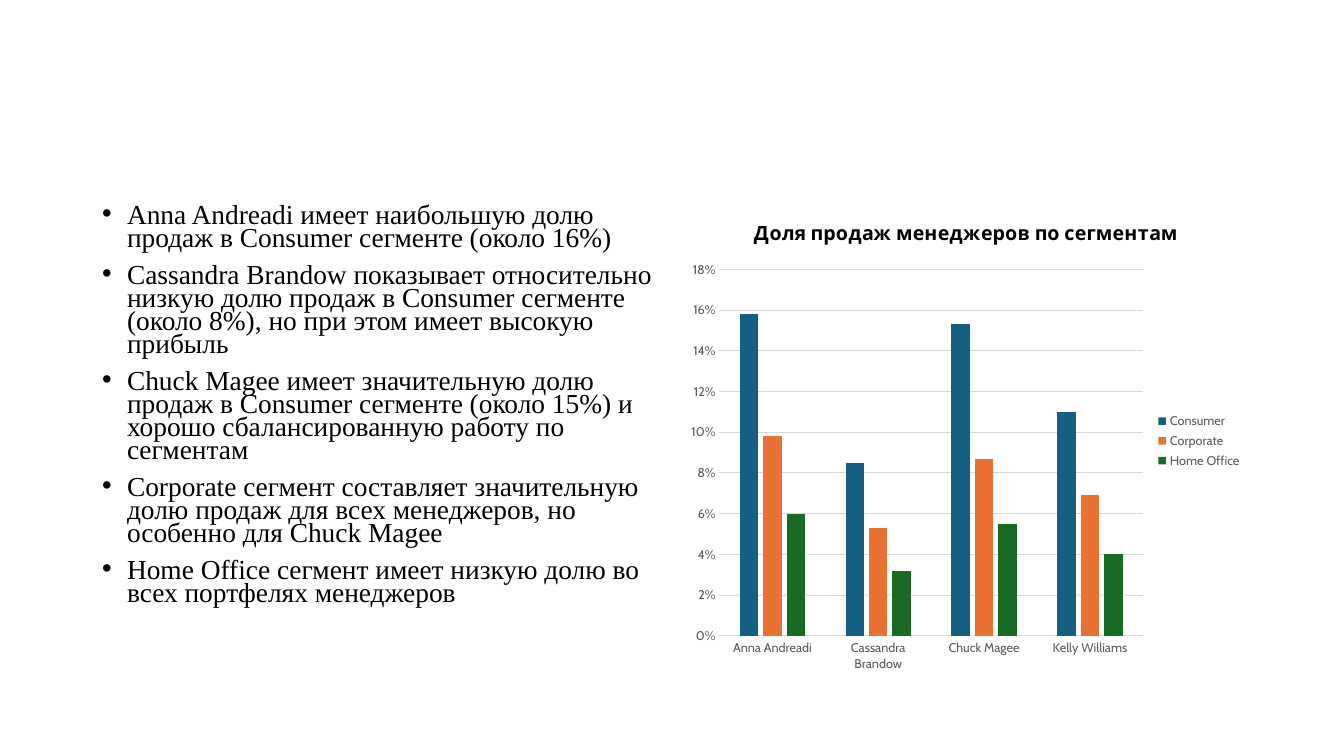
import pptx
import pptx.util
import pptx.chart.data
import pptx.dml.color
import pptx.enum.chart
import pptx.enum.dml
import pptx.enum.text
import pptx.oxml

PX = 914400 / 100.8


def px(n):
    return pptx.util.Emu(round(n * PX))


def style(font, values):
    for name, value in values.items():
        if name == "color":
            font.color.rgb = pptx.dml.color.RGBColor.from_string(value)
        else:
            setattr(font, name, value)


prs = pptx.Presentation()
prs.slide_width, prs.slide_height = px(1344), px(756)
s = prs.slides.add_slide(prs.slide_layouts[1])
title = s.shapes.title._element
title.getparent().remove(title)

# Findings list
bullets = [
    "Anna Andreadi имеет наибольшую долю продаж в Consumer сегменте (около 16%)",
    "Cassandra Brandow показывает относительно низкую долю продаж в Consumer "
    "сегменте (около 8%), но при этом имеет высокую прибыль",
    "Chuck Magee имеет значительную долю продаж в Consumer сегменте (около 15%) "
    "и хорошо сбалансированную работу по сегментам",
    "Corporate сегмент составляет значительную долю продаж для всех менеджеров, "
    "но особенно для Chuck Magee",
    "Home Office сегмент имеет низкую долю во всех портфелях менеджеров",
]
body = s.placeholders[1]
body.left, body.top, body.width, body.height = px(92), px(201), px(572), px(480)
tf = body.text_frame
tf.word_wrap = True
tf.auto_size = pptx.enum.text.MSO_AUTO_SIZE.NONE
tf.vertical_anchor = pptx.enum.text.MSO_ANCHOR.TOP
NS = 'xmlns:a="http://schemas.openxmlformats.org/drawingml/2006/main"'
for i, text in enumerate(bullets):
    p = tf.paragraphs[0] if i == 0 else tf.add_paragraph()
    pPr = p._p.get_or_add_pPr()
    pPr.set("marL", str(px(25)))
    pPr.set("indent", str(px(-25)))
    for xml in (f'<a:buFont {NS} typeface="Arial"/>', f'<a:buChar {NS} char="•"/>'):
        pPr.append(pptx.oxml.parse_xml(xml))
    p.line_spacing = 0.7
    p.space_before = pptx.util.Pt(10 if i else 0)
    r = p.add_run()
    r.text = text
    style(r.font, {"name": "Times New Roman", "size": pptx.util.Pt(19.6), "color": "000000"})

# Sales share chart
series = {
    "Consumer": ("156082", (0.158, 0.085, 0.153, 0.11)),
    "Corporate": ("E97132", (0.098, 0.053, 0.087, 0.069)),
    "Home Office": ("196B24", (0.06, 0.032, 0.055, 0.04)),
}
data = pptx.chart.data.CategoryChartData(number_format="0%")
data.categories = ["Anna Andreadi", "Cassandra Brandow", "Chuck Magee", "Kelly Williams"]
for name, (color, values) in series.items():
    data.add_series(name, values)
chart = s.shapes.add_chart(pptx.enum.chart.XL_CHART_TYPE.COLUMN_CLUSTERED,
                           px(680), px(201), px(572), px(480), data).chart
style(chart.font, {"name": "Cabin", "size": pptx.util.Pt(10), "color": "000000"})
chart.has_title = True
p = chart.chart_title.text_frame.paragraphs[0]
r = p.add_run()
r.text = "Доля продаж менеджеров по сегментам"
style(r.font, {"name": "Cabin", "size": pptx.util.Pt(14), "bold": True, "color": "000000"})
chart.chart_title.include_in_layout = False

# Columns
plot = chart.plots[0]
plot.gap_width, plot.overlap, plot.vary_by_categories = 219, -27, False
for ser, (color, values) in zip(plot.series, series.values()):
    ser.format.fill.solid()
    ser.format.fill.fore_color.rgb = pptx.dml.color.RGBColor.from_string(color)
    ser.invert_if_negative = False

# Axes and legend
small = {"name": "Cabin", "size": pptx.util.Pt(9), "bold": False, "color": "595959"}
cat, val = chart.category_axis, chart.value_axis
for axis in (cat, val):
    axis.major_tick_mark = axis.minor_tick_mark = pptx.enum.chart.XL_TICK_MARK.NONE
    style(axis.tick_labels.font, small)
val.minimum_scale, val.maximum_scale, val.major_unit = 0, 0.18, 0.02
val.tick_labels.number_format = "0%"
val.tick_labels.number_format_is_linked = False
val.has_major_gridlines = True
val.format.line.fill.background()
for line in (cat.format.line, val.major_gridlines.format.line):
    line.width = pptx.util.Pt(0.75)
    style(line, {"color": "D9D9D9"})
chart.has_legend = True
chart.legend.position = pptx.enum.chart.XL_LEGEND_POSITION.RIGHT
chart.legend.include_in_layout = False
style(chart.legend.font, small)

prs.save("out.pptx")
